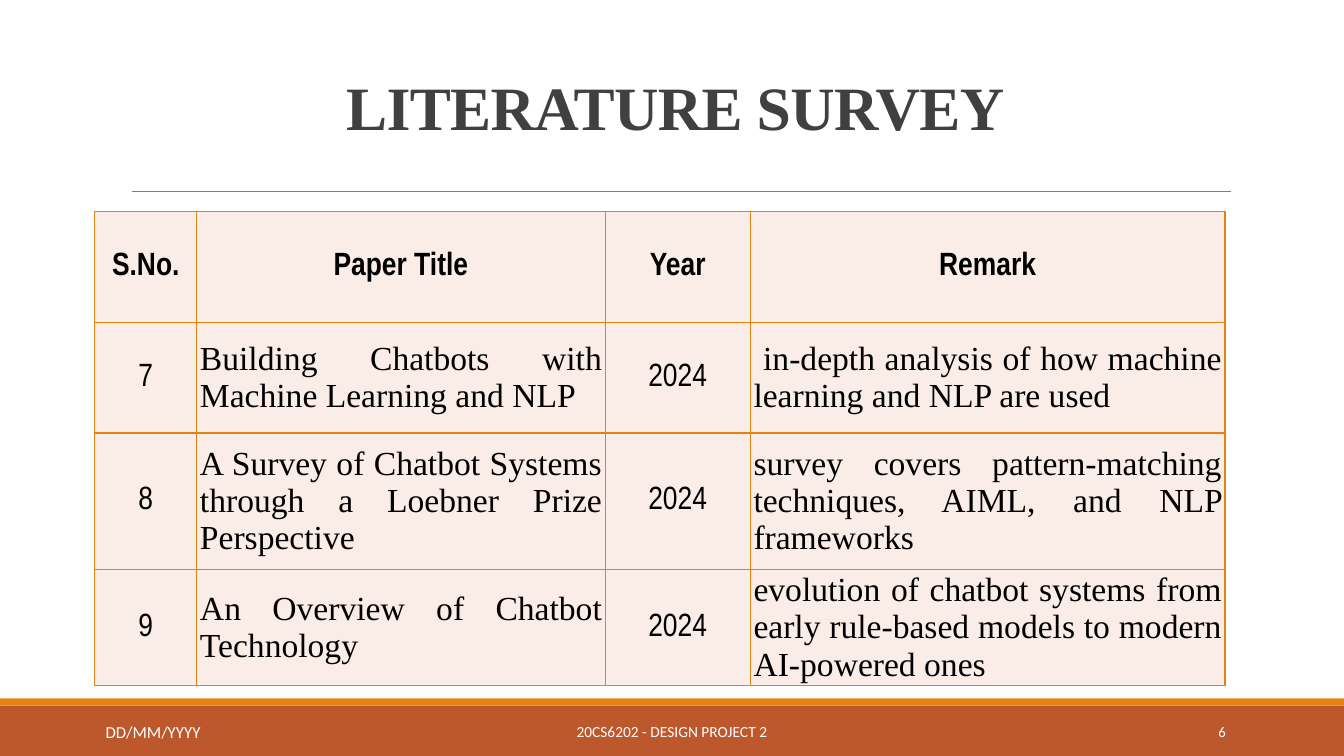
from dataclasses import dataclass

from lxml.etree import SubElement
from pptx import Presentation
from pptx.dml.color import RGBColor
from pptx.enum.shapes import MSO_CONNECTOR, MSO_SHAPE
from pptx.enum.text import MSO_ANCHOR, MSO_AUTO_SIZE, PP_ALIGN
from pptx.oxml import parse_xml
from pptx.oxml.ns import nsdecls, qn
from pptx.util import Cm, Pt


@dataclass(frozen=True)
class Theme:
    rust: str = "BD582C"
    orange: str = "E48312"
    rule: str = "808080"
    cell: str = "FAEDE7"
    title: str = "404040"
    text: str = "000000"
    footer: str = "FFFFFF"
    serif: str = "Times New Roman"
    narrow: str = "Arial Narrow"
    sans: str = "Calibri"
    title_size: float = 44
    label_size: float = 23
    body_size: float = 24
    date_size: float = 12
    footer_size: float = 11
    number_size: float = 10.5


THEME = Theme()
SLIDE_WIDTH, SLIDE_HEIGHT = 33.87, 19.05
COLUMN_WIDTHS = (2.57, 10.29, 3.66, 11.96)
ROW_HEIGHTS = (2.79, 2.79, 3.45, 2.79)
PAPERS = (
    ("S.No.", "Paper Title", "Year", "Remark"),
    ("7", "Building Chatbots with Machine Learning and NLP", "2024",
     " in-depth analysis of how machine learning and NLP are used"),
    ("8", "A Survey of Chatbot Systems through a Loebner Prize Perspective", "2024",
     "survey covers pattern-matching techniques, AIML, and NLP frameworks"),
    ("9", "An Overview of Chatbot Technology", "2024",
     "evolution of chatbot systems from early rule-based models to modern AI-powered ones"),
)


def apply_format(target, values):
    for name, value in values.items():
        setattr(target, name, value)


def write_text(frame, text, font, size, color, align, bold=False):
    paragraph = frame.paragraphs[0]
    paragraph.alignment = align
    run = paragraph.add_run()
    run.text = text
    apply_format(run.font, {"name": font, "size": Pt(size), "bold": bold})
    run.font.color.rgb = RGBColor.from_string(color)
    return run


def add_bar(slide, top, height, color):
    bar = slide.shapes.add_shape(MSO_SHAPE.RECTANGLE, 0, Cm(top), Cm(SLIDE_WIDTH), Cm(height))
    bar.shadow.inherit = False
    bar.fill.solid()
    bar.fill.fore_color.rgb = RGBColor.from_string(color)
    bar.line.fill.background()


def add_rule(slide, left, right, top):
    rule = slide.shapes.add_connector(
        MSO_CONNECTOR.STRAIGHT, Cm(left), Cm(top), Cm(right), Cm(top))
    rule.line.color.rgb = RGBColor.from_string(THEME.rule)
    rule.line.width = Pt(0.5)
    SubElement(rule._element.spPr, qn("a:effectLst"))


def set_title(slide, text):
    title = slide.shapes.title
    apply_format(title, {"left": Cm(3.05), "top": Cm(0.79), "width": Cm(27.94), "height": Cm(4.04)})
    frame = title.text_frame
    apply_format(frame, {"vertical_anchor": MSO_ANCHOR.MIDDLE, "word_wrap": True,
                         "auto_size": MSO_AUTO_SIZE.NONE})
    run = write_text(frame, text, THEME.serif, THEME.title_size, THEME.title,
                     PP_ALIGN.CENTER, bold=True)
    run._r.get_or_add_rPr().set("spc", "-50")
    frame.paragraphs[0].line_spacing = 0.85


def add_footer_text(slide, text, box, size, align, anchor=MSO_ANCHOR.MIDDLE):
    frame = slide.shapes.add_textbox(*map(Cm, box)).text_frame
    apply_format(frame, {"word_wrap": True, "vertical_anchor": anchor})
    write_text(frame, text, THEME.sans, size, THEME.footer, align)


def set_borders(cell, color, width):
    properties = cell._tc.get_or_add_tcPr()
    for index, side in enumerate(("lnL", "lnR", "lnT", "lnB")):
        properties.insert(index, parse_xml(
            f'<a:{side} {nsdecls("a")} w="{Pt(width)}"><a:solidFill>'
            f'<a:srgbClr val="{color}"/></a:solidFill></a:{side}>'))


def fill_cell(cell, text, is_header, is_prose):
    apply_format(cell, {"margin_left": Cm(0.08), "margin_right": Cm(0.08),
                        "margin_top": Cm(0.05), "margin_bottom": Cm(0.05),
                        "vertical_anchor": MSO_ANCHOR.MIDDLE})
    cell.fill.solid()
    cell.fill.fore_color.rgb = RGBColor.from_string(THEME.cell)
    set_borders(cell, THEME.orange, 1)
    if is_prose:
        style = (THEME.serif, THEME.body_size, THEME.text, PP_ALIGN.JUSTIFY)
    else:
        style = (THEME.narrow, THEME.label_size, THEME.text, PP_ALIGN.CENTER)
    write_text(cell.text_frame, text, *style, bold=is_header)


def add_paper_table(slide):
    table = slide.shapes.add_table(
        len(PAPERS), len(COLUMN_WIDTHS), Cm(2.39), Cm(5.33),
        Cm(sum(COLUMN_WIDTHS)), Cm(sum(ROW_HEIGHTS))).table
    apply_format(table, {"first_row": False, "horz_banding": False})
    for column, width in zip(table.columns, COLUMN_WIDTHS):
        column.width = Cm(width)
    for row_index, (row, height, texts) in enumerate(zip(table.rows, ROW_HEIGHTS, PAPERS)):
        row.height = Cm(height)
        is_header = row_index == 0
        for column_index, (cell, text) in enumerate(zip(row.cells, texts)):
            is_prose = not is_header and column_index in (1, 3)
            fill_cell(cell, text, is_header, is_prose)


def main():
    presentation = Presentation()
    apply_format(presentation, {"slide_width": Cm(SLIDE_WIDTH), "slide_height": Cm(SLIDE_HEIGHT)})
    slide = presentation.slides.add_slide(presentation.slide_layouts.get_by_name("Title Only"))

    add_bar(slide, 17.78, 1.27, THEME.rust)
    add_bar(slide, 17.6, 0.18, THEME.orange)
    add_rule(slide, 3.33, 31.01, 4.83)
    set_title(slide, "LITERATURE SURVEY")
    add_paper_table(slide)
    add_footer_text(slide, "20CS6202 - DESIGN PROJECT 2", (10.24, 17.93, 13.39, 1.02),
                    THEME.footer_size, PP_ALIGN.CENTER)
    add_footer_text(slide, "6", (27.51, 17.93, 3.63, 1.02), THEME.number_size, PP_ALIGN.RIGHT)
    add_footer_text(slide, "DD/MM/YYYY", (2.41, 18.06, 6.58, 0.76),
                    THEME.date_size, PP_ALIGN.LEFT, MSO_ANCHOR.TOP)
    presentation.save("out.pptx")


if __name__ == "__main__":
    main()
